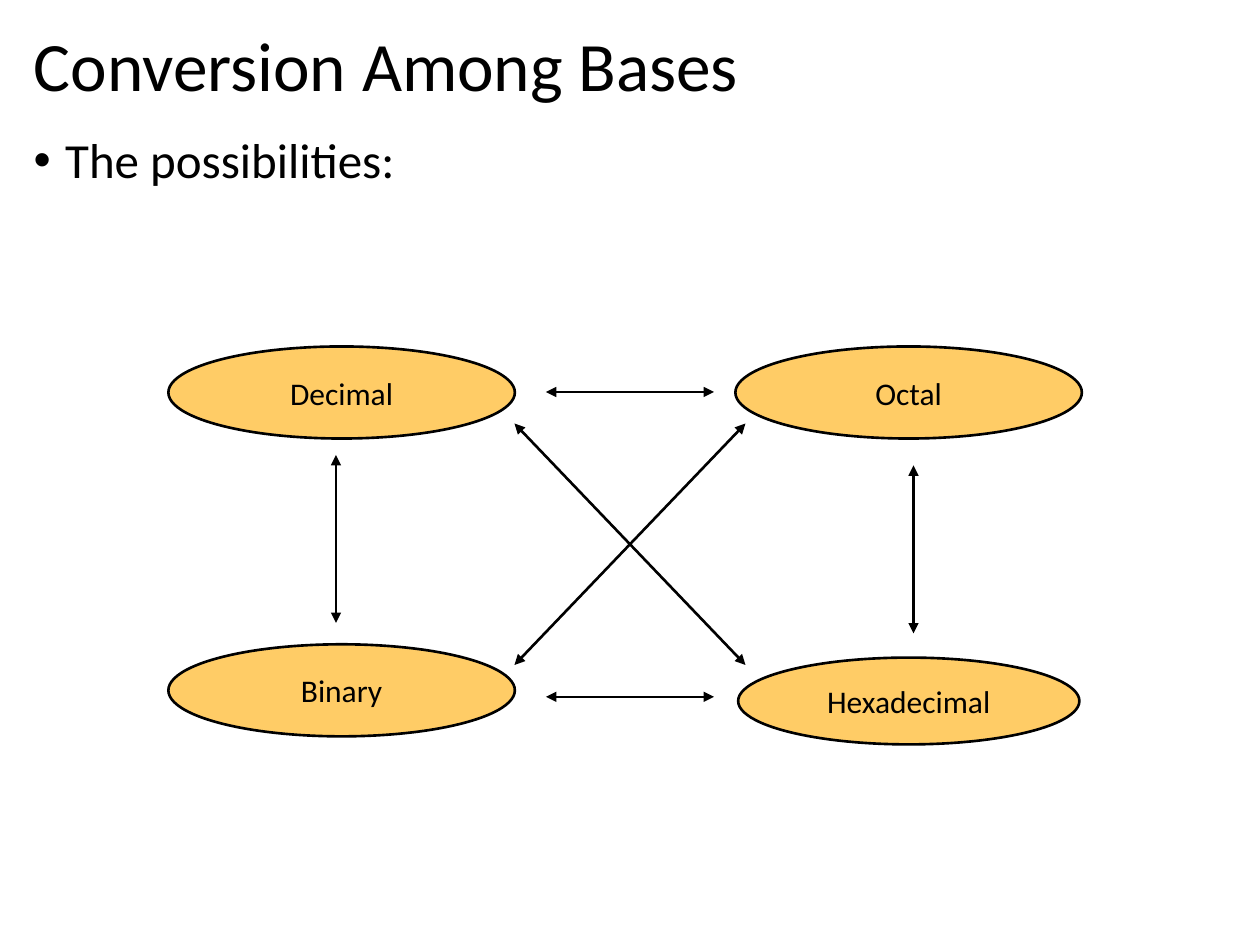
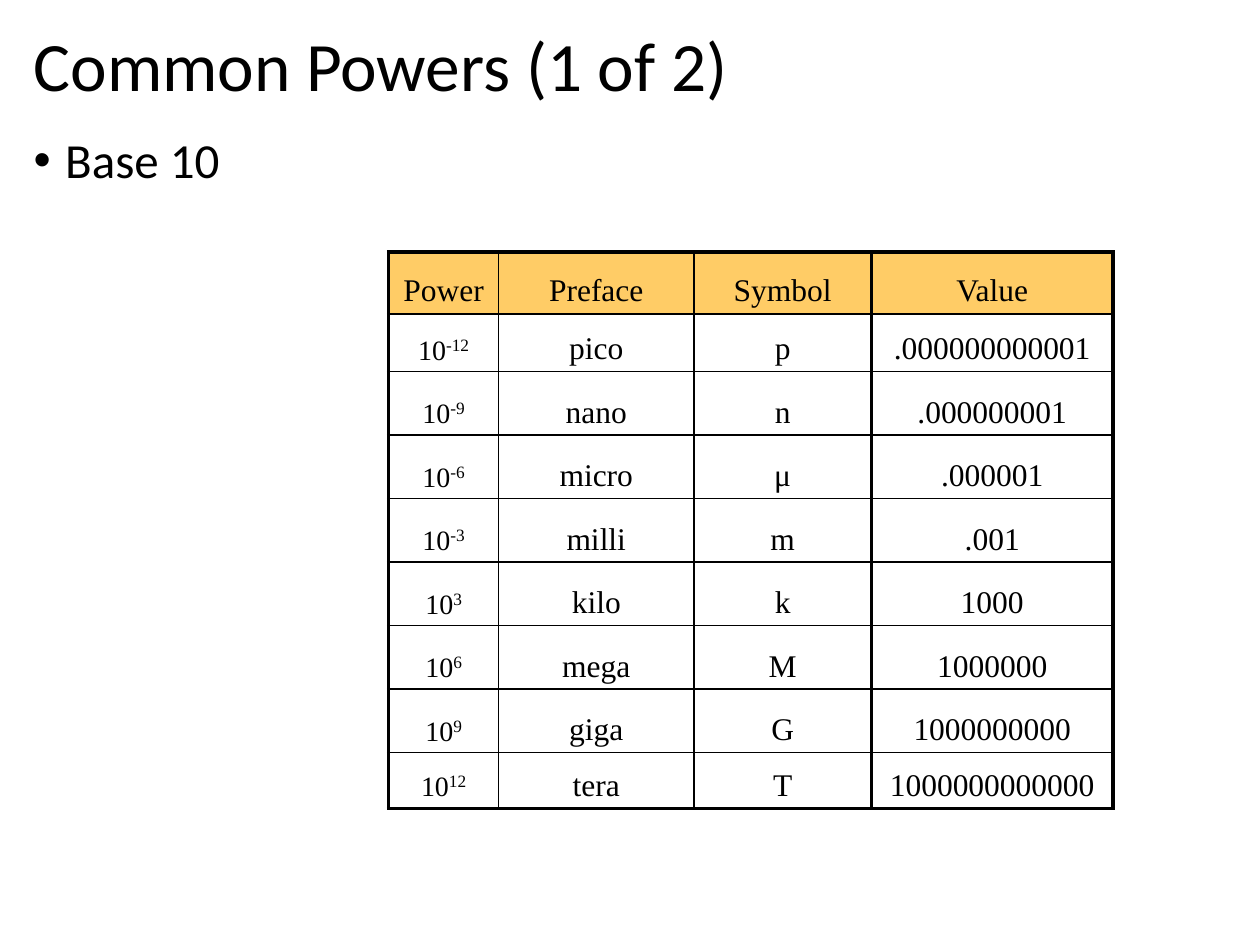
import dataclasses

import lxml.etree
import pptx
import pptx.dml.color
import pptx.enum.shapes
import pptx.enum.text
import pptx.oxml.ns
import pptx.util

Pt = pptx.util.Pt
ALIGN = pptx.enum.text.PP_ALIGN
ANCHOR = pptx.enum.text.MSO_ANCHOR
qn = pptx.oxml.ns.qn


@dataclasses.dataclass(frozen=True)
class Theme:
    ink: str = "000000"
    accent: str = "FFCC66"
    font: str = "Calibri"
    table_font: str = "Times New Roman"
    title_size: float = 39.6
    bullet_size: float = 28
    label_size: float = 18
    power_size: float = 16
    exponent_size: float = 17
    line: float = 1.5
    frame: float = 2.25
    grid: float = 1


def apply(target, formats):
    for name, value in formats.items():
        setattr(target, name, value)


def rgb(color):
    return pptx.dml.color.RGBColor.from_string(color)


class SlideBuilder:
    """Holds the theme and the slide being filled."""

    def __init__(self, deck, theme):
        self.deck, self.theme, self.page = deck, theme, None

    def new_page(self, title, bullet):
        self.page = self.deck.slides.add_slide(self.deck.slide_layouts[6])
        self.text_box(title, 13, 53, self.theme.title_size, ANCHOR.MIDDLE)
        para = self.text_box(bullet, 74.2, 412.5, self.theme.bullet_size, ANCHOR.TOP)
        para.space_before = Pt(10)
        properties = para._p.get_or_add_pPr()
        properties.set("marL", str(Pt(18)))
        properties.set("indent", str(-Pt(18)))
        for tag, key, value in (("a:buFont", "typeface", "Arial"), ("a:buChar", "char", "•")):
            lxml.etree.SubElement(properties, qn(tag)).set(key, value)

    def span(self, para, text, size, font=None):
        span = para.add_run()
        span.text = text
        apply(span.font, {"name": font or self.theme.font, "size": Pt(size)})
        span.font.color.rgb = rgb(self.theme.ink)
        return span

    def text_box(self, text, top, height, size, anchor):
        box = self.page.shapes.add_textbox(Pt(12.2), Pt(top), Pt(692.6), Pt(height))
        apply(box.text_frame, {"word_wrap": True, "vertical_anchor": anchor})
        para = box.text_frame.paragraphs[0]
        para.line_spacing = 0.9
        self.span(para, text, size)
        return para

    def ellipse(self, text, left, top, width=198, height=52.6):
        oval = self.page.shapes.add_shape(
            pptx.enum.shapes.MSO_SHAPE.OVAL, Pt(left), Pt(top), Pt(width), Pt(height))
        oval.shadow.inherit = False
        oval.fill.solid()
        oval.fill.fore_color.rgb = rgb(self.theme.accent)
        oval.line.color.rgb = rgb(self.theme.ink)
        oval.line.width = Pt(self.theme.line)
        apply(oval.text_frame, {"word_wrap": False, "vertical_anchor": ANCHOR.MIDDLE})
        para = oval.text_frame.paragraphs[0]
        para.alignment = ALIGN.CENTER
        self.span(para, text, self.theme.label_size)

    def double_arrow(self, *ends):
        arrow = self.page.shapes.add_connector(
            pptx.enum.shapes.MSO_CONNECTOR.STRAIGHT, *map(Pt, ends))
        arrow.line.color.rgb = rgb(self.theme.ink)
        arrow.line.width = Pt(self.theme.line)
        outline = arrow.line._get_or_add_ln()
        for tag in ("a:headEnd", "a:tailEnd"):
            lxml.etree.SubElement(outline, qn(tag)).set("type", "triangle")
        lxml.etree.SubElement(arrow._element.spPr, qn("a:effectLst"))

    def border(self, cell, side, width):
        edge = lxml.etree.SubElement(cell._tc.get_or_add_tcPr(), qn("a:ln" + side))
        edge.set("w", str(Pt(width)))
        fill = lxml.etree.SubElement(edge, qn("a:solidFill"))
        lxml.etree.SubElement(fill, qn("a:srgbClr")).set("val", self.theme.ink)

    def table(self, left, top, widths, heights, rows):
        grid = self.page.shapes.add_table(
            len(rows), len(widths), Pt(left), Pt(top), Pt(sum(widths)), Pt(sum(heights))).table
        apply(grid, {"first_row": False, "horz_banding": False})
        for column, width in zip(grid.columns, widths):
            column.width = Pt(width)
        for line, height in zip(grid.rows, heights):
            line.height = Pt(height)
        for r, row in enumerate(rows):
            for c, content in enumerate(row):
                # Thick frame outside, thin rules inside
                outer = {"L": c == 0, "R": c == len(widths) - 1,
                         "T": r == 0, "B": r == len(rows) - 1}
                self.cell(grid.cell(r, c), content, outer, r == 0)

    def cell(self, cell, content, outer, is_header):
        theme = self.theme
        for side, is_outer in outer.items():
            self.border(cell, side, theme.frame if is_outer else theme.grid)
        if is_header:
            cell.fill.solid()
            cell.fill.fore_color.rgb = rgb(theme.accent)
        else:
            cell.fill.background()
        cell.vertical_anchor = ANCHOR.BOTTOM
        para = cell.text_frame.paragraphs[0]
        apply(para, {"alignment": ALIGN.CENTER, "line_spacing": 0.8, "space_before": Pt(3.6)})
        if isinstance(content, tuple):
            base, exponent = content
            self.span(para, base, theme.power_size, theme.table_font)
            raised = self.span(para, exponent, theme.exponent_size, theme.table_font)
            raised._r.get_or_add_rPr().set("baseline", "30000")
        else:
            self.span(para, content, theme.label_size, theme.table_font)


def conversion_page(builder):
    builder.new_page("Conversion Among Bases", "The possibilities:")
    # Number bases
    builder.ellipse("Hexadecimal", 421.8, 375.8, 195, 49.6)
    for name, left, top in (("Decimal", 96.2, 198), ("Octal", 420.2, 198),
                            ("Binary", 96.2, 368.2)):
        builder.ellipse(name, left, top)
    # Conversions: diagonal, vertical, horizontal
    near, far = 294, 426
    for start, end in ((near, far), (far, near)):
        builder.double_arrow(start, 380, end, 242)
    for x, bottom in ((522, 362), (192, 356)):
        builder.double_arrow(x, bottom, x, bottom - 96)
    for y in (224, 398.2):
        builder.double_arrow(312, y, 408, y)


def powers_page(builder):
    builder.new_page("Common Powers (1 of 2)", "Base 10")
    prefixes = (("-12", "pico", "p", ".000000000001"), ("-9", "nano", "n", ".000000001"),
                ("-6", "micro", "μ", ".000001"), ("-3", "milli", "m", ".001"),
                ("3", "kilo", "k", "1000"), ("6", "mega", "M", "1000000"),
                ("9", "giga", "G", "1000000000"), ("12", "tera", "T", "1000000000000"))
    heights = [35.3, 33.1] + [36.3] * 6 + [31.8]
    # Prefix table, with the value table against its right side
    names = [("Power", "Preface", "Symbol")]
    names += [(("10", power), name, symbol) for power, name, symbol, _ in prefixes]
    values = [("Value",)] + [(value,) for *_, value in prefixes]
    widths = [63, 111.5, 101.5]
    left, top = 222, 144
    builder.table(left, top, widths, heights, names)
    builder.table(left + sum(widths), top, [138], heights, values)


def main():
    deck = pptx.Presentation()
    apply(deck, {"slide_width": Pt(720), "slide_height": Pt(540)})
    builder = SlideBuilder(deck, Theme())
    conversion_page(builder)
    powers_page(builder)
    deck.save("out.pptx")


if __name__ == "__main__":
    main()
